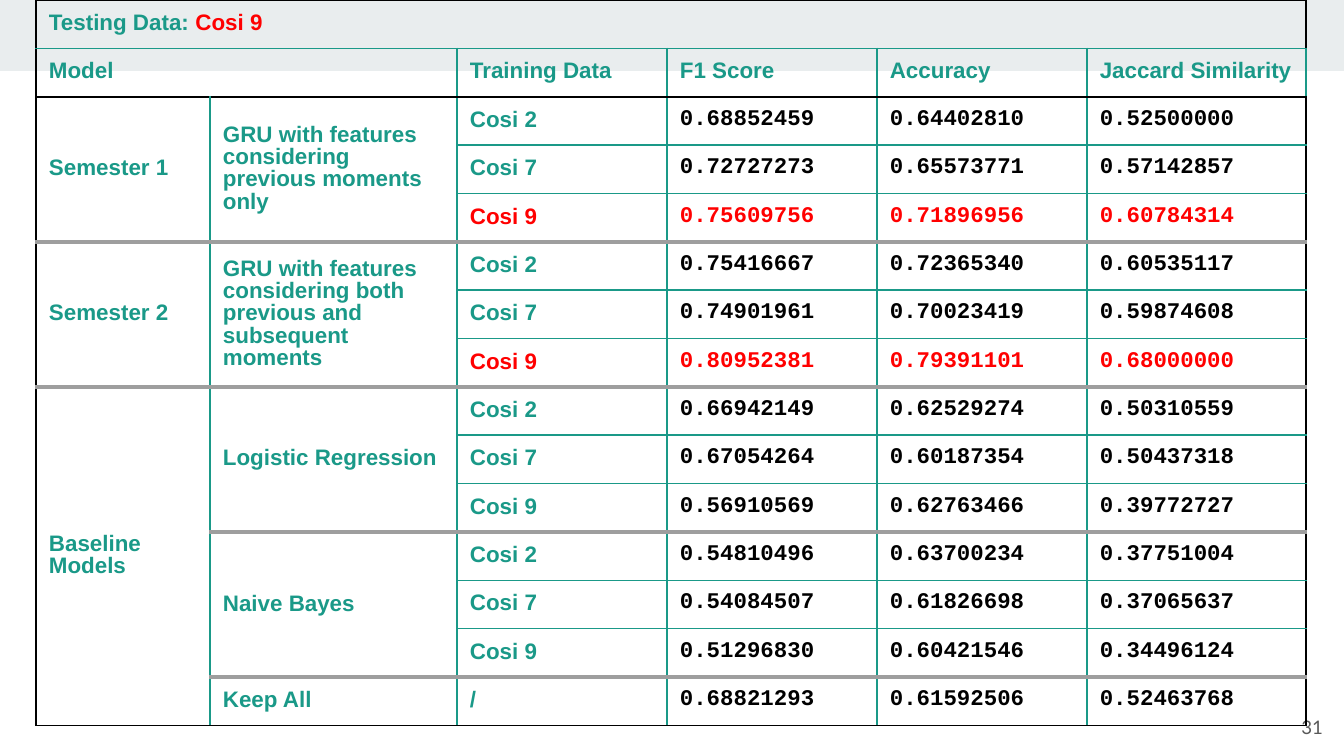
from lxml.etree import SubElement
from pptx import Presentation
from pptx.dml.color import RGBColor
from pptx.enum.shapes import MSO_SHAPE
from pptx.enum.text import MSO_ANCHOR, PP_ALIGN
from pptx.oxml.ns import qn
from pptx.util import Pt

SCALE = 9144000 / 1344
TEAL = RGBColor(0x1A, 0x99, 0x88)
RED = RGBColor(0xFF, 0x00, 0x00)
BLACK = RGBColor(0x00, 0x00, 0x00)
GRAY = RGBColor(0x9E, 0x9E, 0x9E)
DARK = RGBColor(0x59, 0x59, 0x59)
PALE = RGBColor(0xE9, 0xED, 0xEE)

WIDTHS = [174, 247, 210, 210, 210, 219]
HEADS = ["Model", "", "Training Data", "F1 Score", "Accuracy", "Jaccard Similarity"]
SCORES = [
    ("Cosi 2", "0.68852459", "0.64402810", "0.52500000"),
    ("Cosi 7", "0.72727273", "0.65573771", "0.57142857"),
    ("Cosi 9", "0.75609756", "0.71896956", "0.60784314"),
    ("Cosi 2", "0.75416667", "0.72365340", "0.60535117"),
    ("Cosi 7", "0.74901961", "0.70023419", "0.59874608"),
    ("Cosi 9", "0.80952381", "0.79391101", "0.68000000"),
    ("Cosi 2", "0.66942149", "0.62529274", "0.50310559"),
    ("Cosi 7", "0.67054264", "0.60187354", "0.50437318"),
    ("Cosi 9", "0.56910569", "0.62763466", "0.39772727"),
    ("Cosi 2", "0.54810496", "0.63700234", "0.37751004"),
    ("Cosi 7", "0.54084507", "0.61826698", "0.37065637"),
    ("Cosi 9", "0.51296830", "0.60421546", "0.34496124"),
    ("/", "0.68821293", "0.61592506", "0.52463768"),
]
MODELS = [
    (2, 0, 3, "Semester 1"),
    (2, 1, 3, "GRU with features considering previous moments only"),
    (5, 0, 3, "Semester 2"),
    (5, 1, 3, "GRU with features considering both previous and subsequent moments"),
    (8, 0, 7, "Baseline Models"),
    (8, 1, 3, "Logistic Regression"),
    (11, 1, 3, "Naive Bayes"),
    (14, 1, 1, "Keep All"),
]
BEST = (4, 7)
BREAKS = (5, 8, 11, 14)
ROWS = len(SCORES) + 2
COLS = len(WIDTHS)


def px(n):
    return round(n * SCALE)


def write(frame, text, size=12, font="Arial", color=TEAL, bold=True,
          align=PP_ALIGN.LEFT, lead=Pt(12)):
    para = frame.paragraphs[0]
    para.alignment = align
    para.line_spacing = lead
    run = para.add_run()
    run.text = text
    run.font.size = Pt(size)
    run.font.name = font
    run.font.bold = bold
    run.font.color.rgb = color


def across(row):
    if row in (0, 2, ROWS):
        return BLACK, 1
    return (GRAY, 2.25) if row in BREAKS else (TEAL, 1)


def down(col, row):
    outer = col == 0 or (col == COLS and row != 1)
    return (BLACK if outer else TEAL), 1


class Deck:
    def __init__(self):
        self.file = Presentation()
        self.file.slide_width = px(1344)
        self.file.slide_height = px(756)
        self.slide = self.file.slides.add_slide(self.file.slide_layouts[6])
        self.inset = px(13)

    def band(self, x, y, w, h, color):
        shape = self.slide.shapes.add_shape(
            MSO_SHAPE.RECTANGLE, px(x), px(y), px(w), px(h))
        shape.shadow.inherit = False
        shape.fill.solid()
        shape.fill.fore_color.rgb = color
        shape.line.fill.background()

    def pad(self, item):
        item.margin_left = item.margin_right = self.inset
        item.margin_top = item.margin_bottom = self.inset

    def label(self, x, y, w, h, text, **form):
        frame = self.slide.shapes.add_textbox(px(x), px(y), px(w), px(h)).text_frame
        frame.word_wrap = True
        frame.vertical_anchor = MSO_ANCHOR.MIDDLE
        self.pad(frame)
        write(frame, text, **form)

    def grid(self, x, y, height, row_height):
        frame = self.slide.shapes.add_table(
            ROWS, COLS, px(x), px(y), px(sum(WIDTHS)), px(height))
        table = frame.table
        table.first_row = table.horz_banding = False
        for col, width in zip(table.columns, WIDTHS):
            col.width = px(width)
        for row in table.rows:
            row.height = px(row_height)
        frame.height = px(height)
        return table

    def border(self, cell, side, color, width):
        line = SubElement(cell._tc.get_or_add_tcPr(), qn("a:ln" + side), w=str(Pt(width)))
        fill = SubElement(line, qn("a:solidFill"))
        SubElement(fill, qn("a:srgbClr"), val=str(color))

    def finish(self, table):
        for r in range(ROWS):
            for c in range(COLS):
                cell = table.cell(r, c)
                if not cell.is_spanned:
                    wide = cell.span_width if cell.is_merge_origin else 1
                    high = cell.span_height if cell.is_merge_origin else 1
                    self.border(cell, "L", *down(c, r))
                    self.border(cell, "R", *down(c + wide, r))
                    self.border(cell, "T", *across(r))
                    self.border(cell, "B", *across(r + high))
                cell.fill.background()
                self.pad(cell)


def main():
    deck = Deck()
    deck.band(0, 0, 1344, 71, PALE)
    deck.label(1255, 698, 81, 58, "31", size=10, font="Lato", color=DARK,
               bold=False, align=PP_ALIGN.RIGHT, lead=None)
    table = deck.grid(36, 0, 754, 35)

    title = table.cell(0, 0)
    title.merge(table.cell(0, COLS - 1))
    write(title.text_frame, "Testing Data: ")
    write(title.text_frame, "Cosi 9", color=RED)

    table.cell(1, 0).merge(table.cell(1, 1))
    for c, head in enumerate(HEADS):
        if head:
            write(table.cell(1, c).text_frame, head)

    for r, c, span, name in MODELS:
        cell = table.cell(r, c)
        if span > 1:
            cell.merge(table.cell(r + span - 1, c))
        cell.vertical_anchor = MSO_ANCHOR.MIDDLE
        write(cell.text_frame, name)

    for r, (data, *marks) in enumerate(SCORES, 2):
        best = r in BEST
        write(table.cell(r, 2).text_frame, data, color=RED if best else TEAL)
        for c, mark in enumerate(marks, 3):
            write(table.cell(r, c).text_frame, mark, font="Courier New",
                  color=RED if best else BLACK)

    deck.finish(table)
    deck.file.save("out.pptx")


if __name__ == "__main__":
    main()
